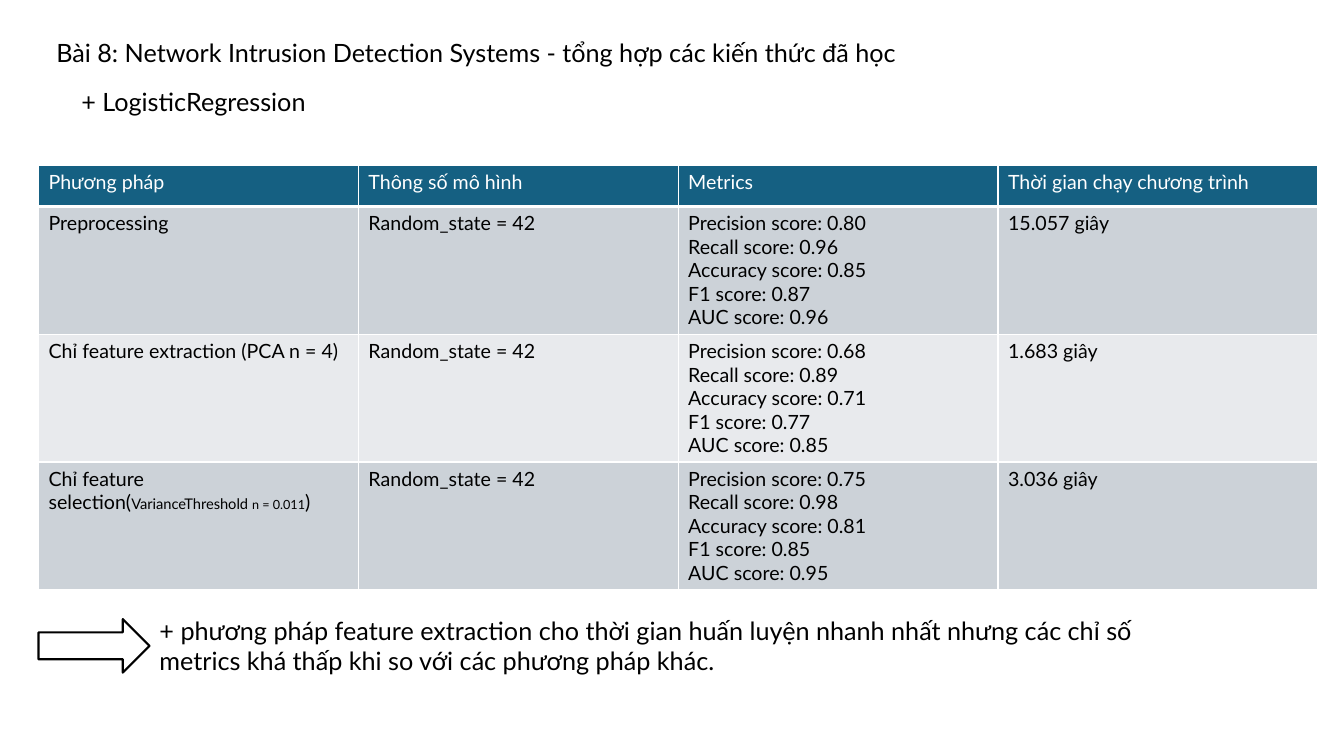
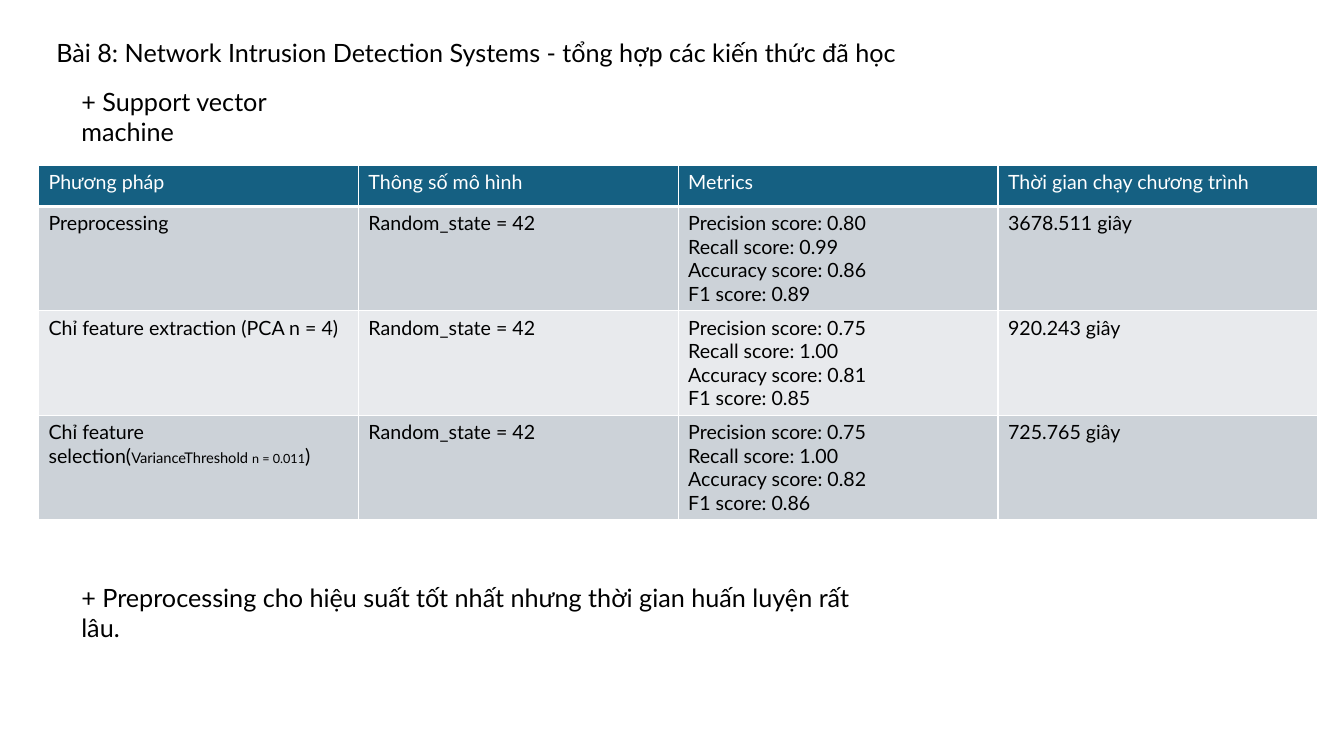
from dataclasses import dataclass

import lxml.etree
import pptx
import pptx.dml.color
import pptx.enum.shapes
import pptx.oxml.ns
import pptx.slide
import pptx.table
import pptx.text.text
import pptx.util

Cm = pptx.util.Cm
Pt = pptx.util.Pt

# Shared look
COLORS = {
    "text": "000000",
    "paper": "FFFFFF",
    "header": "156082",
    "odd_row": "CCD2D8",
    "even_row": "E8EAED",
}
FONT = "Lato"
HEADING_SIZE, CELL_SIZE = 18, 14
TABLE_LEFT, TABLE_TOP = 0.97, 4.17
COLUMN_WIDTH, HEADER_HEIGHT = 8.06, 1.03

# Shared wording
LESSON = "Bài 8: Network Intrusion Detection Systems - tổng hợp các kiến thức đã học"
HEADERS = ["Phương pháp", "Thông số mô hình", "Metrics", "Thời gian chạy chương trình"]
METRICS = ["Precision", "Recall", "Accuracy", "F1", "AUC"]
PARAMETERS = "Random_state = 42"


@dataclass(frozen=True)
class Span:
    text: str
    size: float = CELL_SIZE


METHODS = [
    "Preprocessing",
    "Chỉ feature extraction (PCA n = 4)",
    [
        Span("Chỉ feature selection("),
        Span("VarianceThreshold ", 10.5),
        Span("n = 0.011", 9),
        Span(")"),
    ],
]


@dataclass(frozen=True)
class Box:
    left: float
    top: float
    width: float
    height: float

    def lengths(self) -> list[pptx.util.Length]:
        return [Cm(v) for v in (self.left, self.top, self.width, self.height)]


@dataclass(frozen=True)
class Result:
    scores: list[str]
    seconds: str


@dataclass(frozen=True)
class ModelReport:
    model: str
    model_width: float
    row_height: float
    results: list[Result]
    conclusion: str
    conclusion_box: Box
    arrow_box: Box | None = None


REPORTS = [
    ModelReport(
        "+ LogisticRegression", 6.2, 3.22,
        [
            Result(["0.80", "0.96", "0.85", "0.87", "0.96"], "15.057"),
            Result(["0.68", "0.89", "0.71", "0.77", "0.85"], "1.683"),
            Result(["0.75", "0.98", "0.81", "0.85", "0.95"], "3.036"),
        ],
        "+ phương pháp feature extraction cho thời gian huấn luyện nhanh nhất "
        "nhưng các chỉ số metrics khá thấp khi so với các phương pháp khác.",
        Box(3.77, 15.37, 27.1, 1.8),
        Box(0.97, 15.6, 2.8, 1.35),
    ),
    ModelReport(
        "+ Support vector machine", 7.62, 2.63,
        [
            Result(["0.80", "0.99", "0.86", "0.89"], "3678.511"),
            Result(["0.75", "1.00", "0.81", "0.85"], "920.243"),
            Result(["0.75", "1.00", "0.82", "0.86"], "725.765"),
        ],
        "+ Preprocessing cho hiệu suất tốt nhất nhưng thời gian huấn luyện rất lâu.",
        Box(1.8, 14.55, 20.47, 1.03),
    ),
]


def rgb(name: str) -> pptx.dml.color.RGBColor:
    return pptx.dml.color.RGBColor.from_string(COLORS[name])


def write_text(frame: pptx.text.text.TextFrame, content: str | list[Span], *,
               size: float = CELL_SIZE, color: str = "text") -> None:
    """Fill a frame; each line of a plain string becomes a paragraph."""
    if isinstance(content, str):
        lines = [[Span(line, size)] for line in content.split("\n")]
    else:
        lines = [content]
    frame.word_wrap = True
    for index, spans in enumerate(lines):
        paragraph = frame.add_paragraph() if index else frame.paragraphs[0]
        for span in spans:
            run = paragraph.add_run()
            run.text = span.text
            run.font.name = FONT
            run.font.size = Pt(span.size)
            run.font.bold = False
            run.font.color.rgb = rgb(color)


def add_heading(slide: pptx.slide.Slide, box: Box, text: str) -> None:
    frame = slide.shapes.add_textbox(*box.lengths()).text_frame
    write_text(frame, text, size=HEADING_SIZE)


def add_borders(cell: pptx.table._Cell, bottom_width: float) -> None:
    properties = cell._tc.get_or_add_tcPr()
    qn = pptx.oxml.ns.qn
    for side, width in {"L": 1, "R": 1, "T": 1, "B": bottom_width}.items():
        edge = lxml.etree.SubElement(properties, qn(f"a:ln{side}"), w=str(Pt(width)))
        fill = lxml.etree.SubElement(edge, qn("a:solidFill"))
        lxml.etree.SubElement(fill, qn("a:srgbClr"), val=COLORS["paper"])


def add_results(slide: pptx.slide.Slide, report: ModelReport) -> None:
    rows = [HEADERS]
    for method, result in zip(METHODS, report.results):
        scores = "\n".join(
            f"{metric} score: {score}" for metric, score in zip(METRICS, result.scores)
        )
        rows.append([method, PARAMETERS, scores, f"{result.seconds} giây"])

    box = Box(TABLE_LEFT, TABLE_TOP, COLUMN_WIDTH * len(HEADERS),
              HEADER_HEIGHT + report.row_height * len(report.results))
    table = slide.shapes.add_table(len(rows), len(HEADERS), *box.lengths()).table
    for column in table.columns:
        column.width = Cm(COLUMN_WIDTH)

    for r, row in enumerate(rows):
        is_header = r == 0
        table.rows[r].height = Cm(HEADER_HEIGHT if is_header else report.row_height)
        band = "header" if is_header else ("odd_row" if r % 2 else "even_row")
        for c, content in enumerate(row):
            cell = table.cell(r, c)
            write_text(cell.text_frame, content, color="paper" if is_header else "text")
            add_borders(cell, 3 if is_header else 1)
            cell.fill.solid()
            cell.fill.fore_color.rgb = rgb(band)


def add_arrow(slide: pptx.slide.Slide, box: Box) -> None:
    arrow = slide.shapes.add_shape(
        pptx.enum.shapes.MSO_SHAPE.RIGHT_ARROW, *box.lengths()
    )
    arrow.shadow.inherit = False
    arrow.fill.solid()
    arrow.fill.fore_color.rgb = rgb("paper")
    arrow.line.color.rgb = rgb("text")
    arrow.line.width = Pt(1.5)


def add_report(deck: pptx.presentation.Presentation, report: ModelReport) -> None:
    slide = deck.slides.add_slide(deck.slide_layouts[6])
    # Lesson and model
    add_heading(slide, Box(1.17, 0.81, 27.18, 1.03), LESSON)
    add_heading(slide, Box(1.8, 2.05, report.model_width, 1.8), report.model)
    # Scores and running times
    add_results(slide, report)
    # Conclusion
    add_heading(slide, report.conclusion_box, report.conclusion)
    if report.arrow_box:
        add_arrow(slide, report.arrow_box)


def main() -> None:
    deck = pptx.Presentation()
    deck.slide_width, deck.slide_height = Cm(33.87), Cm(19.05)
    for report in REPORTS:
        add_report(deck, report)
    deck.save("out.pptx")


if __name__ == "__main__":
    main()
